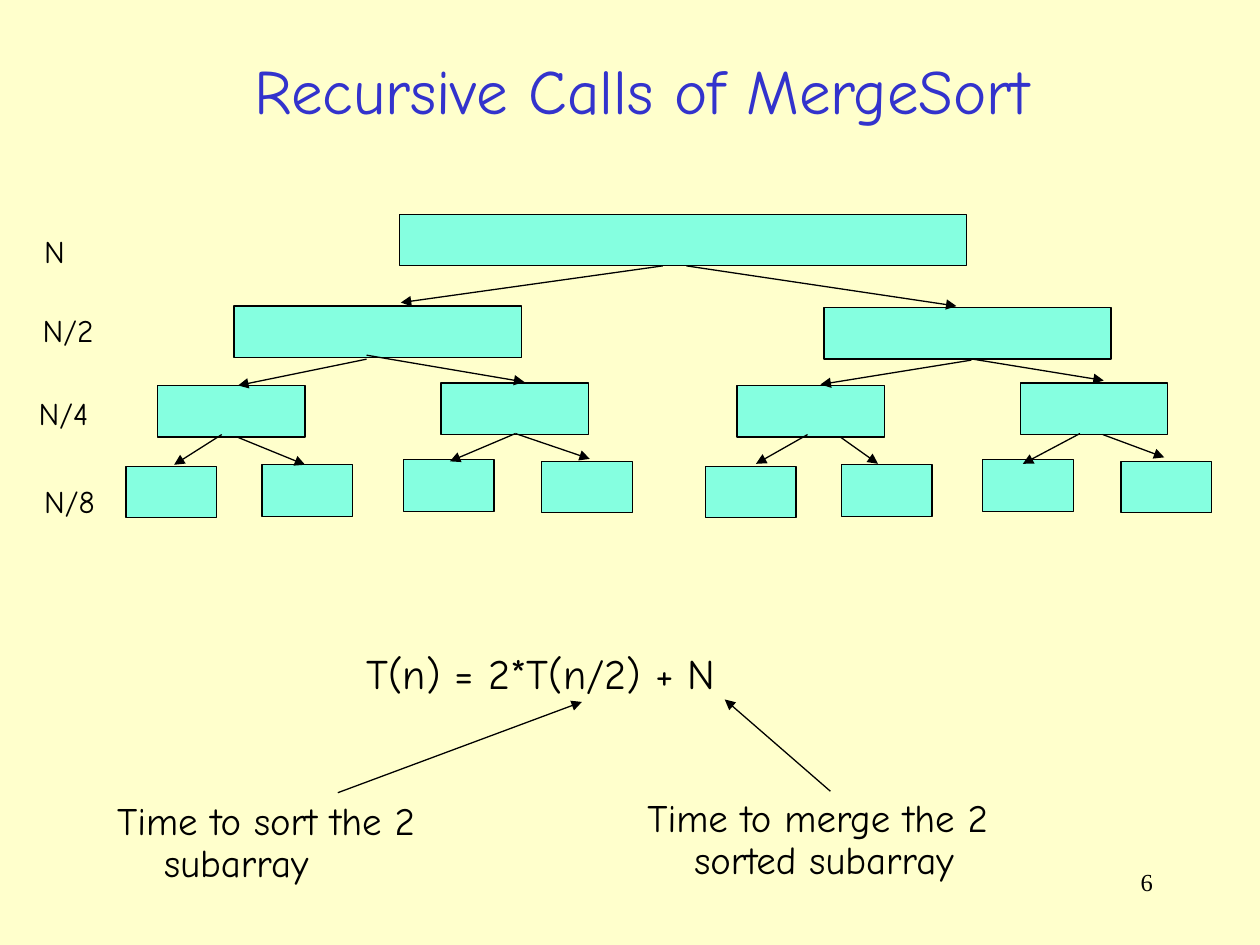
from lxml import etree
from pptx import Presentation
from pptx.dml.color import RGBColor
from pptx.enum.shapes import MSO_CONNECTOR as Connector, MSO_SHAPE as Shape
from pptx.enum.text import MSO_ANCHOR as Anchor, PP_ALIGN as Align
from pptx.oxml.ns import qn
from pptx.util import Cm, Pt

CREAM = RGBColor(0xFF, 0xFF, 0xCC)
MINT = RGBColor(0x85, 0xFF, 0xE0)
BLUE = RGBColor(0x33, 0x33, 0xCC)
BLACK = RGBColor(0, 0, 0)
FONT = "Comic Neue"
LINE_WIDTH = Pt(0.74)
ARRAY_HEIGHT = 1.04
HALF_SHIFT = 11.68

ROOT_AND_HALVES = [(8.05, 4.32, 11.43), (16.61, 6.2, 5.79), (4.72, 6.17, 5.79)]
LEFT_SUBARRAYS = [
    (3.18, 7.77, 2.97), (8.89, 7.72, 2.97),
    (2.54, 9.4, 1.83), (5.28, 9.37, 1.83),
    (8.13, 9.27, 1.83), (10.92, 9.3, 1.83),
]
CALL_ARROWS = [
    (13.36, 5.36, 8.08, 6.1), (13.84, 5.36, 19.28, 6.17),
    (7.39, 7.24, 4.8, 7.77), (7.39, 7.16, 10.57, 7.7),
    (19.58, 7.26, 16.54, 7.75), (19.61, 7.24, 22.25, 7.67),
    (4.47, 8.76, 3.51, 9.37), (4.78, 8.81, 6.15, 9.37),
    (10.39, 8.74, 9.07, 9.3), (10.39, 8.74, 11.89, 9.25),
    (16.28, 8.76, 15.24, 9.35), (16.94, 8.81, 17.7, 9.35),
    (21.77, 8.74, 20.62, 9.35), (22.23, 8.76, 23.47, 9.22),
]
TERM_ARROWS = [(6.81, 15.98, 11.73, 14.15), (16.74, 15.95, 14.61, 14.1)]
SIZE_LABELS = [
    ("N", 0.64, 4.55, 1.12), ("N/2", 0.61, 6.15, 1.93),
    ("N/4", 0.53, 7.82, 1.78), ("N/8", 0.64, 9.6, 1.78),
]


def add_text(page, text, place, size, color=BLACK, font=FONT, align=Align.LEFT):
    box = page.shapes.add_textbox(*map(Cm, place))
    box.text_frame.word_wrap = True
    para = box.text_frame.paragraphs[0]
    para.text = text
    para.alignment = align
    para.font.size = Pt(size)
    para.font.name = font
    para.font.color.rgb = color
    return box


def add_hanging_text(page, text, place, size, line_spacing=1.0):
    para = add_text(page, text, place, size).text_frame.paragraphs[0]
    para.space_before = Pt(6)
    para.line_spacing = line_spacing
    properties = para._p.get_or_add_pPr()
    properties.set("marL", str(Cm(0.95)))
    properties.set("indent", str(-Cm(0.95)))


def add_array(page, left, top, width):
    array = page.shapes.add_shape(
        Shape.RECTANGLE, Cm(left), Cm(top), Cm(width), Cm(ARRAY_HEIGHT))
    array.shadow.inherit = False
    array.fill.solid()
    array.fill.fore_color.rgb = MINT
    array.line.color.rgb = BLACK
    array.line.width = LINE_WIDTH


def add_arrow(page, *ends):
    arrow = page.shapes.add_connector(Connector.STRAIGHT, *map(Cm, ends))
    arrow.line.color.rgb = BLACK
    arrow.line.width = LINE_WIDTH
    etree.SubElement(arrow.line._get_or_add_ln(), qn("a:tailEnd"), type="triangle")
    etree.SubElement(arrow._element.spPr, qn("a:effectLst"))


def add_call_tree(page):
    right_subarrays = [(left + HALF_SHIFT, top, width)
                       for left, top, width in LEFT_SUBARRAYS]
    for array in ROOT_AND_HALVES + LEFT_SUBARRAYS + right_subarrays:
        add_array(page, *array)
    for ends in CALL_ARROWS:
        add_arrow(page, *ends)
    for text, left, top, width in SIZE_LABELS:
        add_text(page, text, (left, top, width, 1.02), 18)


def add_recurrence(page):
    add_hanging_text(page, "T(n) = 2*T(n/2) + N", (7.14, 12.93, 8.64, 1.37), 24)
    add_hanging_text(page, "Time to sort the 2 subarray",
                     (2.11, 16.05, 8.46, 2.24), 22.2, 0.9)
    add_hanging_text(page, "Time to merge the 2 sorted subarray",
                     (12.8, 15.98, 9.65, 2.24), 22.2, 0.9)
    for ends in TERM_ARROWS:
        add_arrow(page, *ends)


def main():
    deck = Presentation()
    deck.slide_width, deck.slide_height = Cm(25.4), Cm(19.05)
    page = deck.slides.add_slide(deck.slide_layouts[6])
    page.background.fill.solid()
    page.background.fill.fore_color.rgb = CREAM
    title = add_text(page, "Recursive Calls of MergeSort",
                     (1.14, 0.38, 23.62, 2.84), 36, BLUE, align=Align.CENTER)
    title.text_frame.vertical_anchor = Anchor.MIDDLE
    add_call_tree(page)
    add_recurrence(page)
    add_text(page, "6", (18.21, 17.35, 5.28, 1.27), 14,
             font="Times New Roman", align=Align.RIGHT)
    deck.save("out.pptx")


main()
